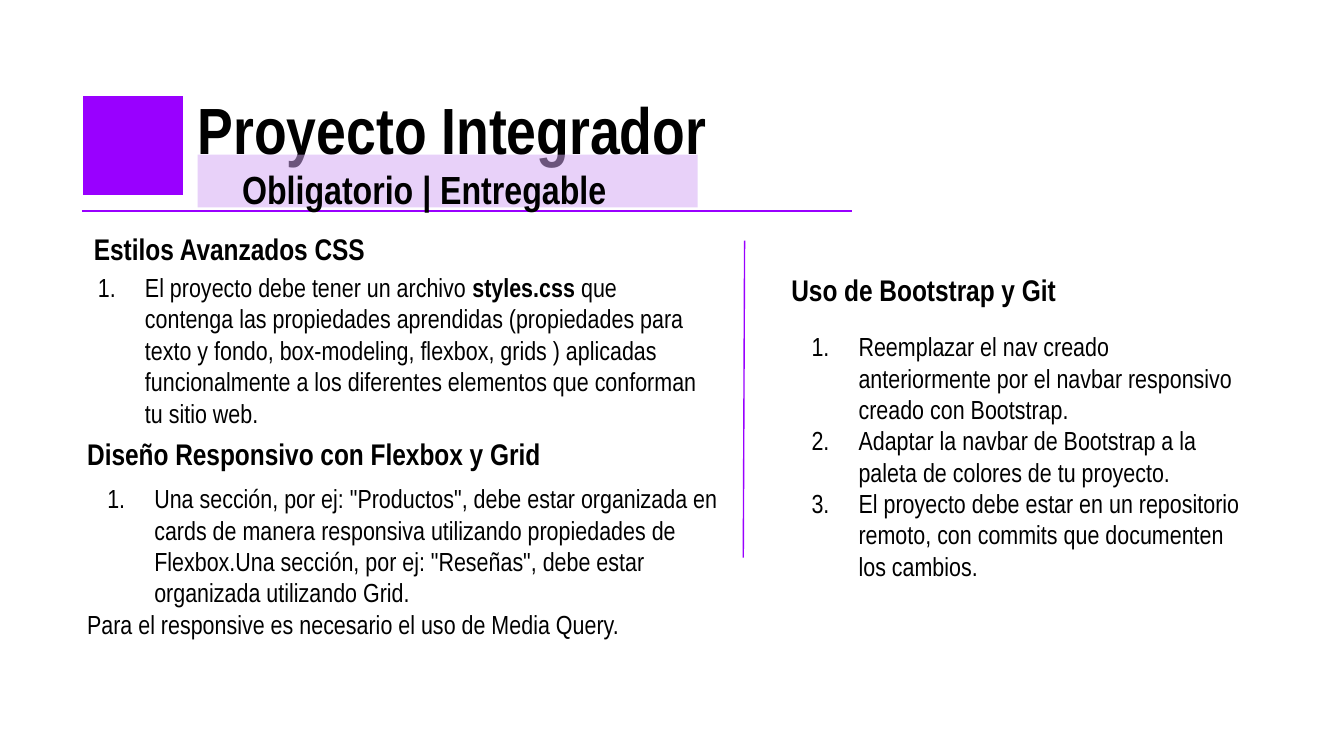
from dataclasses import dataclass
from lxml.etree import SubElement as Sub
from pptx import Presentation
from pptx.dml.color import RGBColor as RGB
from pptx.enum.shapes import MSO_CONNECTOR as Link, MSO_SHAPE as Form
from pptx.enum.text import MSO_AUTO_SIZE as Fit
from pptx.oxml.ns import qn
from pptx.util import Pt


@dataclass(frozen=True)
class Theme:
    font: str = "Arial Narrow"
    ink: str = "000000"
    paper: str = "FFFFFF"
    accent: str = "9900FF"
    tint: str = "D2A6F4"
    title: float = 35
    label: float = 21
    head: float = 16
    body: float = 14
    pad: float = 7.2


T = Theme()


def rgb(code):
    return RGB.from_string(code)


def write(slide, box, lines, size, bold=False, pad=T.pad, space=None, steps=0):
    shape = slide.shapes.add_textbox(*map(Pt, box))
    frame = shape.text_frame
    frame.word_wrap = True
    frame.auto_size = Fit.NONE
    frame.margin_left = frame.margin_right = Pt(pad)
    frame.margin_top = frame.margin_bottom = Pt(pad)
    for i, line in enumerate(lines):
        para = frame.paragraphs[0] if i == 0 else frame.add_paragraph()
        if space:
            para.line_spacing = space
        if i < steps:
            number(para)
        for j, part in enumerate(line.split("*")):
            run = para.add_run()
            run.text = part
            run.font.name = T.font
            run.font.size = Pt(size)
            run.font.bold = bold or j % 2 == 1
            run.font.color.rgb = rgb(T.ink)


def number(para):
    props = para._p.get_or_add_pPr()
    props.set("marL", str(Pt(36)))
    props.set("indent", str(Pt(-25.2)))
    tone = Sub(props, qn("a:buClr"))
    Sub(tone, qn("a:srgbClr"), val=T.ink)
    Sub(props, qn("a:buFont"), typeface=T.font)
    Sub(props, qn("a:buAutoNum"), type="arabicPeriod")


def block(slide, box, color, alpha=None):
    shape = slide.shapes.add_shape(Form.RECTANGLE, *map(Pt, box))
    shape.shadow.inherit = False
    shape.fill.solid()
    shape.fill.fore_color.rgb = rgb(color)
    shape.line.fill.background()
    if alpha:
        tone = shape.fill._xPr.find(".//" + qn("a:srgbClr"))
        Sub(tone, qn("a:alpha"), val=str(alpha * 1000))
    return shape


def rule(slide, start, end):
    line = slide.shapes.add_connector(Link.STRAIGHT, *map(Pt, start + end))
    line.line.color.rgb = rgb(T.accent)
    line.line.width = Pt(0.75)
    Sub(line._element.spPr, qn("a:effectLst"))


def header(slide, x, y, w):
    rule(slide, (x, y + 73.5), (x + w, y + 73.5))
    left = x + 62
    write(slide, (left, y, 493, 42.5), ["Proyecto Integrador"],
          T.title, True, 0, 1.2)
    square = block(slide, (x, y + 11.5, 54.7, 54), T.accent)
    square.line.color.rgb = rgb(T.paper)
    square.line.width = Pt(0.75)
    block(slide, (left, y + 43.2, 267.8, 28.4), T.tint, 51)
    write(slide, (left + 23.8, y + 43.9, 230.4, 25.2),
          ["Obligatorio | Entregable"], T.label, True, 0, 1.2)


def section(slide, box, top, title, steps, notes=()):
    x, y, w, h = box
    shift, rise, wide = top
    write(slide, (x + shift, y - rise, wide, 28.8), [title], T.head, True)
    write(slide, box, [*steps, *notes], T.body, steps=len(steps))


def main():
    deck = Presentation()
    deck.slide_width, deck.slide_height = Pt(720), Pt(405)
    slide = deck.slides.add_slide(deck.slide_layouts[6])
    header(slide, 43.9, 39.6, 412.6)
    section(slide, (34.6, 138.2, 352, 107.3), (8.6, 21.6, 309),
            "Estilos Avanzados CSS", [
        "El proyecto debe tener un archivo* styles.css *que contenga las "
        "propiedades aprendidas (propiedades para texto y fondo, box-modeling, "
        "flexbox, grids ) aplicadas funcionalmente a los diferentes elementos "
        "que conforman tu sitio web."])
    section(slide, (39.6, 251.3, 365, 138.2), (0, 25.2, 326),
            "Diseño Responsivo con Flexbox y Grid", [
        'Una sección, por ej: "Productos", debe estar organizada en cards de '
        "manera responsiva utilizando propiedades de Flexbox.Una sección, por "
        'ej: "Reseñas", debe estar organizada utilizando Grid.'],
            ["Para el responsive es necesario el uso de Media Query."])
    rule(slide, (398.9, 128.9), (398.2, 298.8))
    section(slide, (416.9, 169.9, 256.3, 107.3), (0, 31.7, 161.3),
            "Uso de Bootstrap y Git", [
        "Reemplazar el nav creado anteriormente por el navbar responsivo "
        "creado con Bootstrap.",
        "Adaptar la navbar de Bootstrap a la paleta de colores de tu proyecto.",
        "El proyecto debe estar en un repositorio remoto, con commits que "
        "documenten los cambios."])
    deck.save("out.pptx")


if __name__ == "__main__":
    main()
